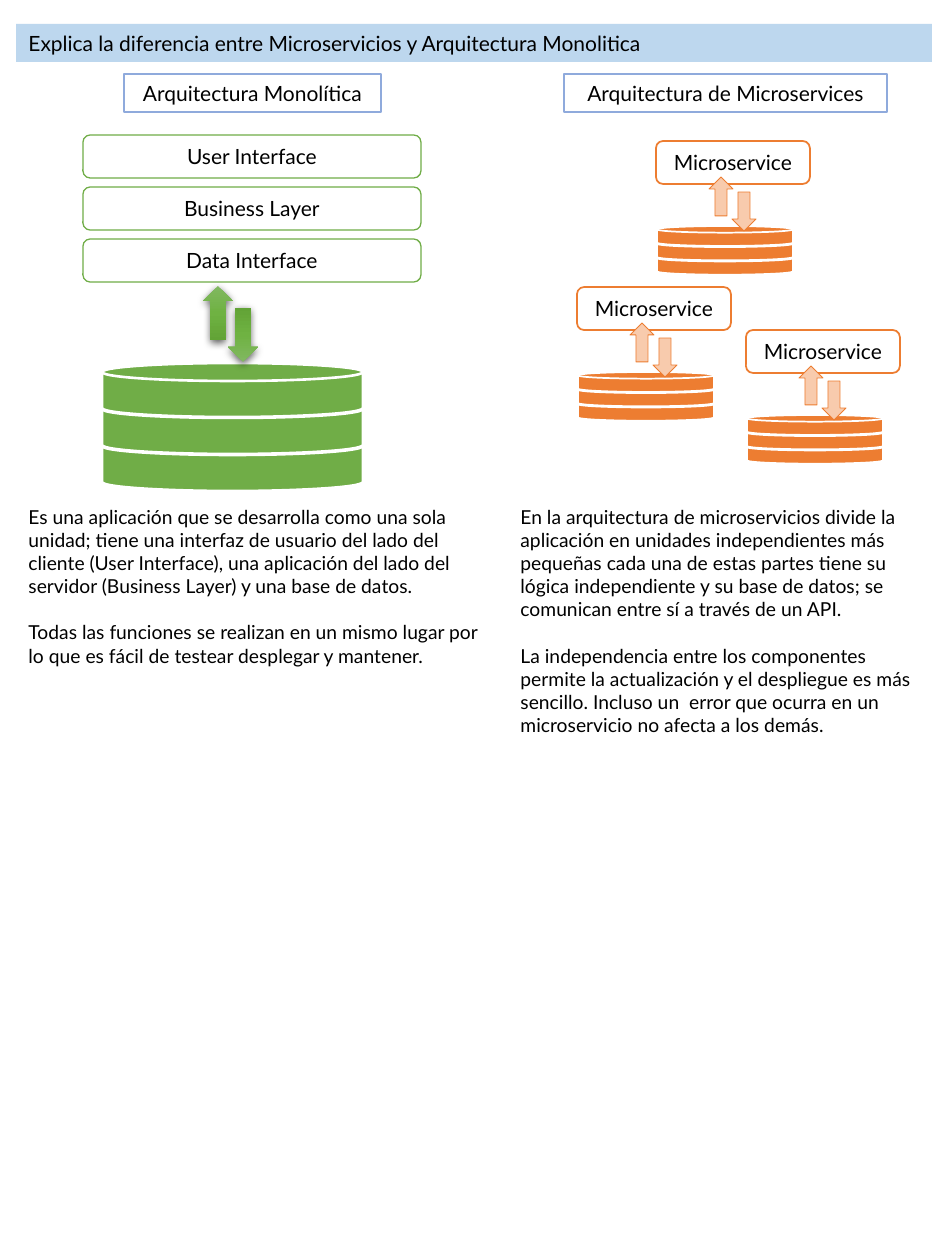
from copy import deepcopy

from lxml import etree
from pptx import Presentation
from pptx.dml.color import RGBColor
from pptx.enum.shapes import MSO_SHAPE
from pptx.enum.text import MSO_ANCHOR, MSO_AUTO_SIZE, PP_ALIGN
from pptx.oxml.ns import qn
from pptx.util import Emu, Pt

RECT = MSO_SHAPE.RECTANGLE
ROUND = MSO_SHAPE.ROUNDED_RECTANGLE
DISK = MSO_SHAPE.FLOWCHART_MAGNETIC_DISK
ARROW = MSO_SHAPE.UP_ARROW
LEFT, CENTER = PP_ALIGN.LEFT, PP_ALIGN.CENTER
TOP, MIDDLE = MSO_ANCHOR.TOP, MSO_ANCHOR.MIDDLE
GROW = MSO_AUTO_SIZE.SHAPE_TO_FIT_TEXT

FONT = "Lato"
BLACK, WHITE = "000000", "FFFFFF"
GREEN, ORANGE, PEACH = "70AD47", "ED7D31", "F8CBAD"
PALE_BLUE, BLUE = "BDD7EE", "8FAADC"
GREEN_STOPS = [(0, "81B861"), (50, "6FB242"), (100, "62A336")]

MONOLITH_TEXT = [
    "Es una aplicación que se desarrolla como una sola unidad; tiene una interfaz de usuario "
    "del lado del cliente (User Interface), una aplicación del lado del servidor "
    "(Business Layer) y una base de datos.",
    "Todas las funciones se realizan en un mismo lugar por lo que es fácil de testear "
    "desplegar y mantener.",
]
MICROSERVICES_TEXT = [
    "En la arquitectura de microservicios divide la aplicación en unidades independientes "
    "más pequeñas cada una de estas partes tiene su lógica independiente y su base de datos; "
    "se comunican entre sí a través de un API.",
    "La independencia entre los componentes permite la actualización y el despliegue es más "
    "sencillo. Incluso un  error que ocurra en un microservicio no afecta a los demás.",
]


def px(n):
    return Emu(round(n * 914400 / 126))


def rgb(value):
    return RGBColor.from_string(value)


def add_shape(s, kind, box, fill=None, line=None, width=1):
    sp = s.shapes.add_shape(kind, *map(px, box))
    sp.shadow.inherit = False
    if fill:
        sp.fill.solid()
        sp.fill.fore_color.rgb = rgb(fill)
    else:
        sp.fill.background()
    if line:
        sp.line.color.rgb = rgb(line)
        sp.line.width = Pt(width)
    else:
        sp.line.fill.background()
    return sp


def write(sp, paragraphs, size=12, align=CENTER, anchor=MIDDLE, grow=False):
    tf = sp.text_frame
    tf.word_wrap = True
    tf.vertical_anchor = anchor
    if grow:
        tf.auto_size = GROW
    tf.text = "\n".join(paragraphs)
    for i, p in enumerate(tf.paragraphs):
        p.alignment = align
        if i:
            p.space_before = Pt(size * 1.2)
        for r in p.runs:
            r.font.name = FONT
            r.font.size = Pt(size)
            r.font.color.rgb = rgb(BLACK)


def add_heading(s, box, text, fill, line=None, align=CENTER):
    sp = add_shape(s, RECT, box, fill, line)
    write(sp, [text], align=align, anchor=TOP, grow=True)


def add_description(s, box, paragraphs):
    sp = s.shapes.add_textbox(*map(px, box))
    write(sp, paragraphs, size=11, align=LEFT, anchor=TOP, grow=True)


def add_database(s, x, y, w, h, pitch, color, width):
    for i in reversed(range(3)):
        add_shape(s, DISK, (x, y + i * pitch, w, h), color, WHITE, width)


def add_glossy_arrow(s, box):
    sp = add_shape(s, ARROW, box)
    sp.fill.gradient()
    sp.fill.gradient_angle = 270
    stops = sp.element.spPr.find(qn("a:gradFill")).find(qn("a:gsLst"))
    stops.insert(1, deepcopy(stops[0]))
    for stop, (position, color) in zip(sp.fill.gradient_stops, GREEN_STOPS):
        stop.position = position / 100
        stop.color.rgb = rgb(color)
    effects = sp.element.spPr.find(qn("a:effectLst"))
    shadow = etree.SubElement(effects, qn("a:outerShdw"), blurRad=str(Pt(4.5)),
                              dist=str(Pt(1.5)), dir="5400000", algn="ctr", rotWithShape="0")
    color = etree.SubElement(shadow, qn("a:srgbClr"), val=BLACK)
    etree.SubElement(color, qn("a:alpha"), val="63000")
    return sp


def add_monolith(s, x, y):
    for i, layer in enumerate(["User Interface", "Business Layer", "Data Interface"]):
        sp = add_shape(s, ROUND, (x, y + i * 52, 338, 43), line=GREEN, width=0.75)
        write(sp, [layer])
    add_database(s, x + 19, y + 228, 261, 54, 37, GREEN, 1.5)
    add_glossy_arrow(s, (x + 120, y + 151, 30, 54))
    add_glossy_arrow(s, (x + 145, y + 173, 30, 54)).rotation = 180


def add_microservice(s, x, y):
    sp = add_shape(s, ROUND, (x, y, 154, 43), WHITE, ORANGE)
    write(sp, ["Microservice"])
    add_database(s, x + 1, y + 85, 136, 20, 14.4, ORANGE, 1)
    add_shape(s, ARROW, (x + 53, y + 36, 24, 39), PEACH, ORANGE, 0.5)
    down = add_shape(s, ARROW, (x + 76, y + 51, 24, 39), PEACH, ORANGE, 0.5)
    down.rotation = 180


def main():
    prs = Presentation()
    prs.slide_width, prs.slide_height = px(945), px(1260)
    s = prs.slides.add_slide(prs.slide_layouts[6])
    add_heading(s, (16, 24, 916, 38),
                "Explica la diferencia entre Microservicios y Arquitectura Monolitica",
                PALE_BLUE, align=LEFT)
    add_heading(s, (124, 74, 257, 38), "Arquitectura Monolítica", WHITE, BLUE)
    add_description(s, (16, 499, 485, 176), MONOLITH_TEXT)
    add_monolith(s, 83, 135)
    for x, y in [(656, 141), (577, 287), (746, 330)]:
        add_microservice(s, x, y)
    add_heading(s, (564, 74, 323, 38), "Arquitectura de Microservices", WHITE, BLUE)
    add_description(s, (508, 499, 436, 246), MICROSERVICES_TEXT)
    prs.save("out.pptx")


if __name__ == "__main__":
    main()
